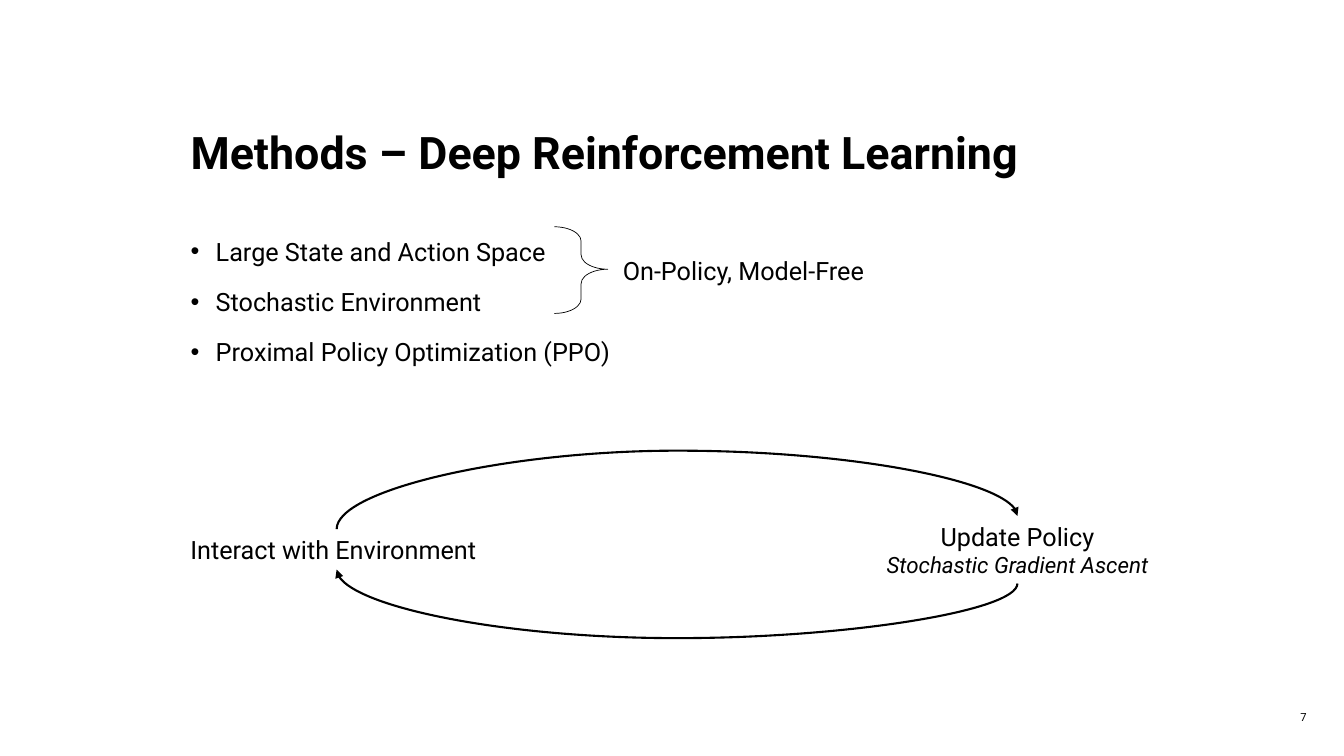
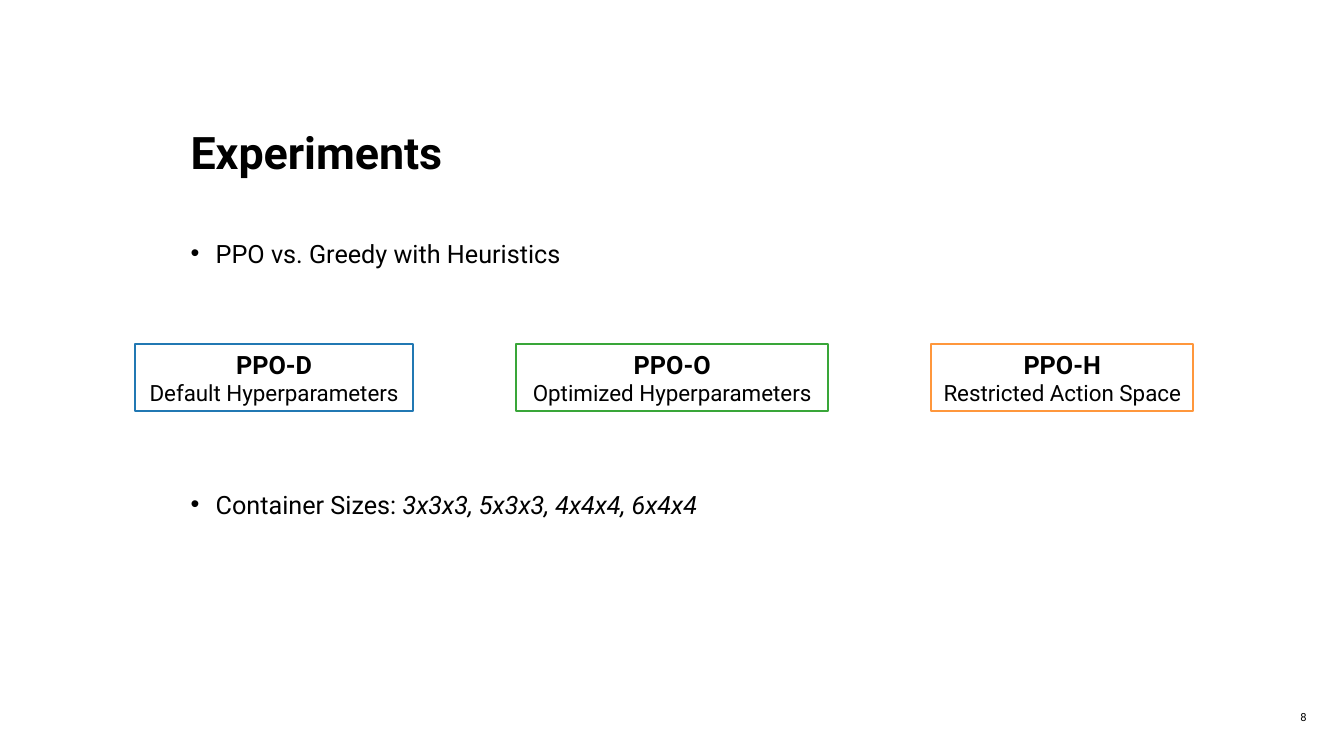
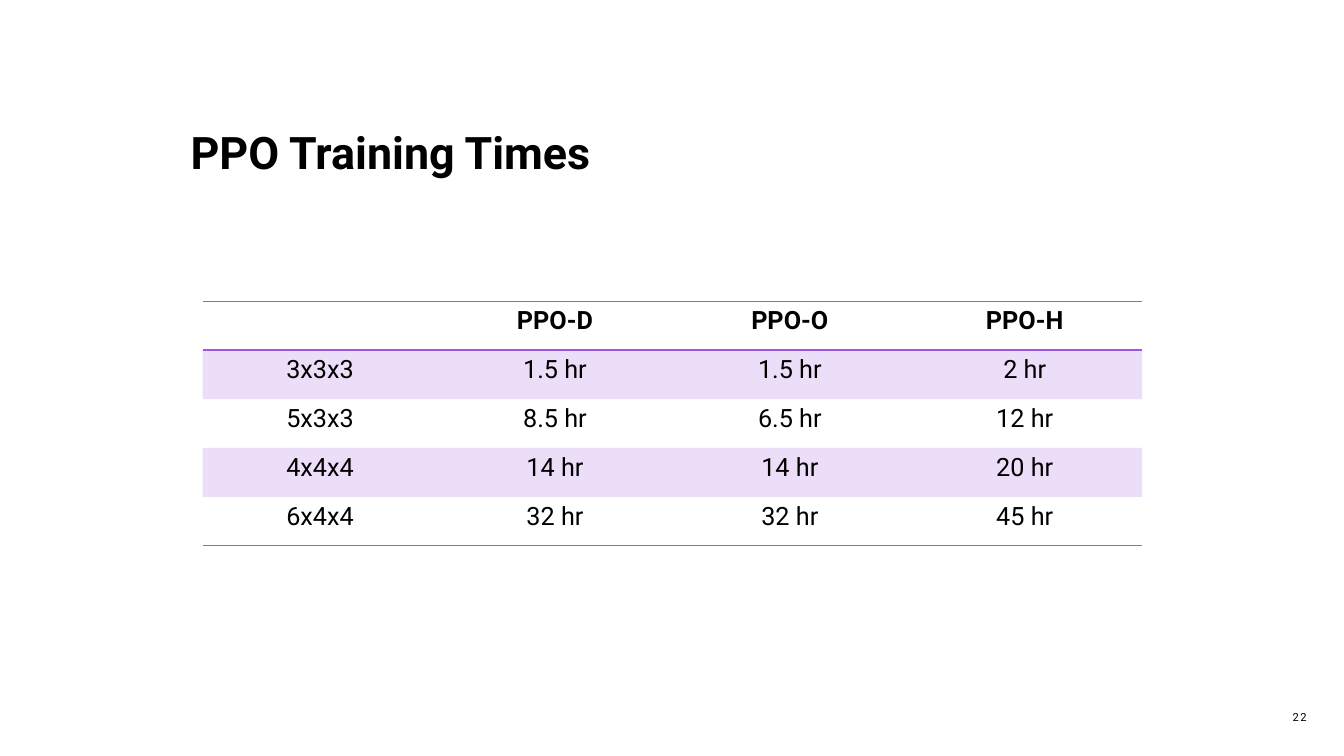
"""Build three slides on reinforcement learning methods, experiments and training times."""
from lxml import etree
from pptx import Presentation
from pptx.dml.color import RGBColor
from pptx.enum.shapes import MSO_CONNECTOR as Link, MSO_SHAPE as Preset
from pptx.enum.text import MSO_ANCHOR as Anchor, MSO_AUTO_SIZE as Fit, PP_ALIGN as Align
from pptx.oxml.ns import qn
from pptx.util import Pt

FONT = "Roboto"
COLORS = {"ink": "000000", "rule": "7F7F7F", "purple": "A155E4",
          "blue": "2178B3", "green": "39A639", "orange": "FF973C"}
TITLE_AREA = (128.9, 54, 702, 108)
NUMBER_AREA = (884.2, 497.5, 56.2, 28.8)
BODY_SIZE = (702, 325.4)
TOP, BOTTOM, LEFT, RIGHT = range(4)
SITE = {TOP: 0, BOTTOM: 2}

METHODS = {
    "title": "Methods – Deep Reinforcement Learning", "number": "7", "body_top": 160.6,
    "bullets": [([("Large State and Action Space", {})], 0),
                ([("Stochastic Environment", {})], 10),
                ([("Proximal Policy Optimization (PPO)", {})], 10)],
}
BRACE = (396, 162, 38.2, 61.9)
BRACE_NOTE = ("On-Policy, Model-Free", (437.8, 178.6, 196.6, 28.8))
INTERACT = ("Interact with Environment", (128.9, 378, 223.2, 28.8))
UPDATE = (["Update Policy", "Stochastic Gradient Ascent"], (622.8, 368.6, 208, 48.2))
ARC_TOP, ARC_BOTTOM = 322, 455.8

EXPERIMENTS = {
    "title": "Experiments", "number": "8", "body_top": 162,
    "bullets": [([("PPO vs. Greedy with Heuristics", {})], 0),
                ([("Container Sizes: ", {}),
                  ("3x3x3, 5x3x3, 4x4x4, 6x4x4", {"italic": True})], 153.4)],
}
VARIANTS = [("PPO-D", "Default Hyperparameters", "blue", 198.7),
            ("PPO-O", "Optimized Hyperparameters", "green", 223.2),
            ("PPO-H", "Restricted Action Space", "orange", 187.2)]
VARIANT_LEFT, VARIANT_TOP, VARIANT_HEIGHT, VARIANT_GAP = 96.5, 245.5, 48.2, 73.4

TIMES = {"title": "PPO Training Times", "number": "22"}
TIME_ROWS = [("", "PPO-D", "PPO-O", "PPO-H"),
             ("3x3x3", "1.5 hr", "1.5 hr", "2 hr"),
             ("5x3x3", "8.5 hr", "6.5 hr", "12 hr"),
             ("4x4x4", "14 hr", "14 hr", "20 hr"),
             ("6x4x4", "32 hr", "32 hr", "45 hr")]
TABLE_LEFT, TABLE_TOP, COLUMN_WIDTH, ROW_HEIGHT = 144.7, 215.3, 167.8, 34.9
PLAIN_TABLE = "{2D5ABB26-0587-4C30-8999-92F81FD0307C}"


def rgb(name):
    return RGBColor.from_string(COLORS[name])


def points(area):
    return [Pt(value) for value in area]


def place(box, area):
    box.left, box.top, box.width, box.height = points(area)


def add_span(para, text, size=18, bold=False, italic=False):
    span = para.add_run()
    span.text = text
    font = span.font
    font.name, font.size, font.bold, font.italic = FONT, Pt(size), bold, italic
    font.color.rgb = rgb("ink")
    return span


def add_child(parent, tag, **attributes):
    return etree.SubElement(parent, qn(tag), attributes)


def write_lines(box, lines, align):
    """Write (text, style) lines into a box that hugs its text."""
    frame = box.text_frame
    frame.word_wrap = False
    frame.auto_size = Fit.SHAPE_TO_FIT_TEXT
    for index, (text, style) in enumerate(lines):
        para = frame.add_paragraph() if index else frame.paragraphs[0]
        para.alignment = align
        add_span(para, text, **style)


def add_label(page, lines, area, align=Align.LEFT):
    box = page.shapes.add_textbox(*points(area))
    write_lines(box, lines, align)
    return box


def add_bullets(page, bullets, top):
    body = page.placeholders[1]
    place(body, (TITLE_AREA[0], top, *BODY_SIZE))
    frame = body.text_frame
    frame.auto_size = Fit.NONE
    for index, (spans, before) in enumerate(bullets):
        para = frame.add_paragraph() if index else frame.paragraphs[0]
        para.line_spacing = 1.2
        para.space_before = Pt(before)
        props = para._p.get_or_add_pPr()
        props.set("marL", str(Pt(18)))
        props.set("indent", str(Pt(-18)))
        add_child(props, "a:buFont", typeface="Arial")
        add_child(props, "a:buChar", char="•")
        for text, style in spans:
            add_span(para, text, **style)


def add_page(deck, content):
    """Add a page with its title, page number and any bullets."""
    page = deck.slides.add_slide(deck.slide_layouts[1 if "bullets" in content else 5])
    title = page.shapes.title
    place(title, TITLE_AREA)
    title.text_frame.vertical_anchor = Anchor.MIDDLE
    title.text_frame.auto_size = Fit.NONE
    para = title.text_frame.paragraphs[0]
    para.alignment = Align.LEFT
    add_span(para, content["title"], size=32, bold=True)
    if "bullets" in content:
        add_bullets(page, content["bullets"], content["body_top"])
    number = page.shapes.add_textbox(*points(NUMBER_AREA))
    number.text_frame.word_wrap = True
    number.text_frame.vertical_anchor = Anchor.MIDDLE
    para = number.text_frame.paragraphs[0]
    para.alignment = Align.RIGHT
    span = add_span(para, content["number"], size=8)
    span._r.get_or_add_rPr().set("spc", "100")
    return page


def add_arc(page, source, target, side, peak):
    """Join the same side of two boxes with a curved arrow reaching the peak height."""
    ends = [(box.left.pt + box.width.pt / 2,
             box.top.pt + (box.height.pt if side == BOTTOM else 0))
            for box in (source, target)]
    (start_x, start_y), (end_x, end_y) = ends
    arc = page.shapes.add_connector(Link.CURVE, 0, 0, 0, 0)
    arc.begin_connect(source, SITE[side])
    arc.end_connect(target, SITE[side])
    width, height = abs(end_y - start_y), abs(end_x - start_x)
    place(arc, ((start_x + end_x - width) / 2, (start_y + end_y - height) / 2, width, height))
    props = arc._element.spPr
    frame = props.find(qn("a:xfrm"))
    frame.set("rot", str(90 * 60000))
    frame.set("flipH", "1")
    frame.set("flipV", "1" if end_x > start_x else "0")
    bend = round((start_y - peak) / (start_y - end_y) * 100000)
    guides = props.find(qn("a:prstGeom")).find(qn("a:avLst"))
    add_child(guides, "a:gd", name="adj1", fmla=f"val {bend}")
    arc.line.color.rgb = rgb("ink")
    arc.line.width = Pt(1.5)
    add_child(arc.line._get_or_add_ln(), "a:tailEnd", type="triangle")
    add_child(props, "a:effectLst")


def add_outline(page, preset, area, color, width):
    shape = page.shapes.add_shape(preset, *points(area))
    shape.shadow.inherit = False
    shape.fill.background()
    shape.line.color.rgb = rgb(color)
    shape.line.width = Pt(width)
    return shape


def build_methods(deck):
    page = add_page(deck, METHODS)
    brace = add_outline(page, Preset.RIGHT_BRACE, BRACE, "ink", 0.5)
    brace.adjustments[0], brace.adjustments[1] = 0.27, 0.49
    note, note_area = BRACE_NOTE
    add_label(page, [(note, {})], note_area)
    text, area = INTERACT
    interact = add_label(page, [(text, {})], area)
    (heading, detail), area = UPDATE
    update = add_label(page, [(heading, {}), (detail, {"size": 16, "italic": True})],
                       area, Align.CENTER)
    add_arc(page, interact, update, TOP, ARC_TOP)
    add_arc(page, update, interact, BOTTOM, ARC_BOTTOM)


def build_experiments(deck):
    page = add_page(deck, EXPERIMENTS)
    left = VARIANT_LEFT
    for name, detail, color, width in VARIANTS:
        box = add_outline(page, Preset.RECTANGLE,
                          (left, VARIANT_TOP, width, VARIANT_HEIGHT), color, 1.5)
        write_lines(box, [(name, {"bold": True}), (detail, {"size": 16})], Align.CENTER)
        left += width + VARIANT_GAP


def add_border(cell, tag, color, width):
    line = add_child(cell._tc.get_or_add_tcPr(), tag, w=str(Pt(width)))
    add_child(add_child(line, "a:solidFill"), "a:srgbClr", val=COLORS[color])


def build_times(deck):
    page = add_page(deck, TIMES)
    rows, columns = len(TIME_ROWS), len(TIME_ROWS[0])
    area = (TABLE_LEFT, TABLE_TOP, COLUMN_WIDTH * columns, ROW_HEIGHT * rows)
    table = page.shapes.add_table(rows, columns, *points(area)).table
    table._tbl.tblPr.find(qn("a:tableStyleId")).text = PLAIN_TABLE
    for row, values in enumerate(TIME_ROWS):
        for column, value in enumerate(values):
            cell = table.cell(row, column)
            if row == 0:
                add_border(cell, "a:lnT", "rule", 0.75)
                add_border(cell, "a:lnB", "purple", 1.5)
            if row == rows - 1:
                add_border(cell, "a:lnB", "rule", 0.75)
            if row % 2:
                cell.fill.solid()
                cell.fill.fore_color.rgb = rgb("purple")
                tint = cell._tc.tcPr.find(qn("a:solidFill"))[0]
                add_child(tint, "a:alpha", val="20000")
            else:
                cell.fill.background()
            if value:
                para = cell.text_frame.paragraphs[0]
                para.alignment = Align.CENTER
                add_span(para, value, bold=row == 0)


def main():
    deck = Presentation()
    deck.slide_width, deck.slide_height = Pt(960), Pt(540)
    build_methods(deck)
    build_experiments(deck)
    build_times(deck)
    deck.save("out.pptx")


if __name__ == "__main__":
    main()
